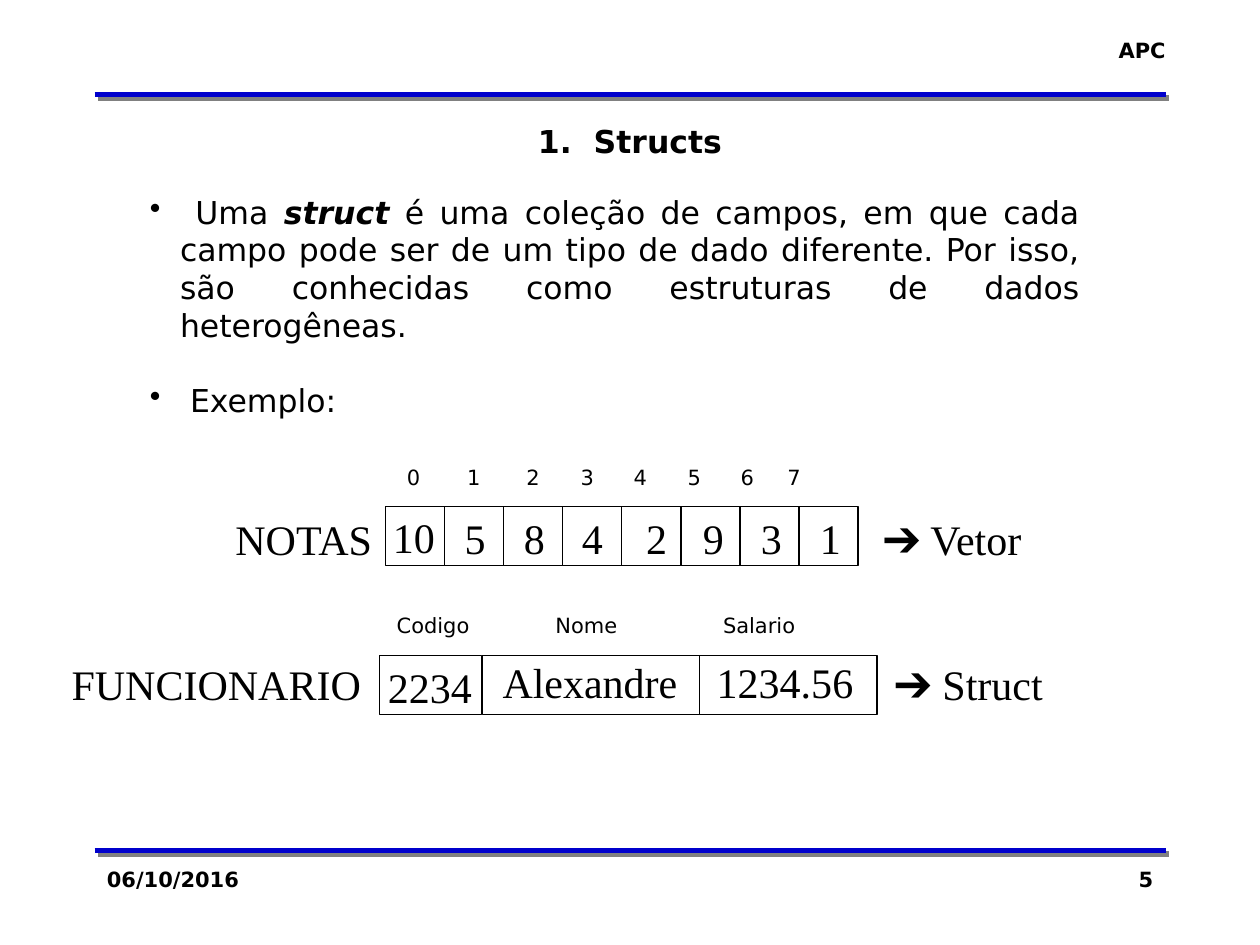
import pptx
import pptx.util
import pptx.dml.color
import pptx.enum.shapes
import pptx.enum.text
import pptx.oxml
from lxml import etree
from pptx.util import Inches

NS = "http://schemas.openxmlformats.org/drawingml/2006/main"
ALIGN = pptx.enum.text.PP_ALIGN


def rgb(value):
    return pptx.dml.color.RGBColor.from_string(value)


class Deck:
    sans = "DejaVu Sans"
    serif = "Times New Roman"
    black, white, blue, gray = "000000", "FFFFFF", "0000CC", "808080"

    def __init__(self, width, height):
        self.prs = pptx.Presentation()
        self.prs.slide_width = Inches(width)
        self.prs.slide_height = Inches(height)
        self.s = self.prs.slides.add_slide(self.prs.slide_layouts[6])

    def style(self, font, **values):
        for name, value in values.items():
            setattr(font, name, value)
        font.color.rgb = rgb(self.black)

    def rule(self, y):
        """Horizontal blue line with a gray shadow."""
        line = self.s.shapes.add_connector(
            pptx.enum.shapes.MSO_CONNECTOR.STRAIGHT,
            Inches(0.75), Inches(y), Inches(9.25), Inches(y))
        line.line.color.rgb = rgb(self.blue)
        line.line.width = pptx.util.Pt(3)
        line._element.spPr.append(pptx.oxml.parse_xml(
            f'<a:effectLst xmlns:a="{NS}"><a:outerShdw dist="35560" dir="2700000">'
            f'<a:srgbClr val="{self.gray}"/></a:outerShdw></a:effectLst>'))

    def box(self, left, top, width, height):
        """White cell with a thin black outline."""
        sp = self.s.shapes.add_shape(
            pptx.enum.shapes.MSO_SHAPE.RECTANGLE,
            Inches(left), Inches(top), Inches(width), Inches(height))
        sp.shadow.inherit = False
        sp.fill.solid()
        sp.fill.fore_color.rgb = rgb(self.white)
        sp.line.color.rgb = rgb(self.black)
        sp.line.width = pptx.util.Pt(0.75)

    def frame(self, left, top, width, height, wrap=True):
        tf = self.s.shapes.add_textbox(
            Inches(left), Inches(top), Inches(width), Inches(height)).text_frame
        tf.word_wrap = wrap
        return tf

    def text(self, text, left, top, width, height, size=12, name=None,
             bold=False, align=ALIGN.LEFT, wrap=True, tabs=()):
        """One line of text, with optional tab stops in inches."""
        p = self.frame(left, top, width, height, wrap).paragraphs[0]
        p.alignment = align
        if tabs:
            stops = etree.SubElement(p._p.get_or_add_pPr(), f"{{{NS}}}tabLst")
            for stop in tabs:
                etree.SubElement(stops, f"{{{NS}}}tab",
                                 pos=str(Inches(stop)), algn="l")
        r = p.add_run()
        r.text = text
        self.style(r.font, size=pptx.util.Pt(size), name=name or self.sans, bold=bold)

    def value(self, text, left, top, width, wrap=False, tabs=()):
        """Large serif text used by the data diagrams."""
        self.text(text, left, top, width, 0.51, 24, self.serif, wrap=wrap, tabs=tabs)

    def bullets(self, items, left, top, width, height, gap):
        """Justified bullets; each item lists (text, emphasised) runs."""
        tf = self.frame(left, top, width, height)
        for i, runs in enumerate(items):
            p = tf.add_paragraph() if i else tf.paragraphs[0]
            p.alignment = ALIGN.JUSTIFY
            if i:
                p.space_before = pptx.util.Pt(gap)
            pPr = p._p.get_or_add_pPr()
            pPr.set("marL", str(Inches(0.24)))
            pPr.set("indent", str(-Inches(0.24)))
            etree.SubElement(pPr, f"{{{NS}}}buChar", char="•")
            for text, strong in runs:
                r = p.add_run()
                r.text = text
                self.style(r.font, size=pptx.util.Pt(18), name=self.sans,
                           bold=strong, italic=strong)


def main():
    d = Deck(10, 7.5)

    # Header and footer
    for y in (6.75, 0.75):
        d.rule(y)
    d.text("APC", 8.77, 0.25, 0.58, 0.3, bold=True, align=ALIGN.RIGHT, wrap=False)
    d.text("06/10/2016", 0.75, 6.83, 2.08, 0.5, bold=True)
    d.text("5", 7.17, 6.83, 2.08, 0.5, bold=True, align=ALIGN.RIGHT)

    # Title and definition
    d.bullets([
        [(" Uma ", False), ("struct", True),
         (" é uma coleção de campos, em que cada campo pode ser de um tipo de dado "
          "diferente. Por isso, são conhecidas como estruturas de dados "
          "heterogêneas.", False)],
        [(" Exemplo:", False)],
    ], 1.09, 1.48, 7.58, 1.62, gap=21.5)
    d.text("1.  Structs", 0.75, 0.92, 8.5, 0.4, 18, bold=True, align=ALIGN.CENTER)

    # Array: eight equal cells
    grades = [("10", 3.02), ("5", 3.59), ("8", 4.06), ("4", 4.52),
              ("2", 5.03), ("9", 5.48), ("3", 5.94), ("1", 6.41)]
    pitch = 3.75 / len(grades)
    for i in range(len(grades)):
        d.box(3.06 + i * pitch, 4.02, pitch, 0.47)
    for grade, left in grades:
        wide = len(grade) > 1
        d.value(grade, left, 4.01 if wide else 4.02, 0.54 if wide else 0.37)
    d.value("NOTAS\t➔ Vetor", 1.77, 4.03, 6.67, wrap=True, tabs=[5.14])
    d.text("\t".join(str(i) for i in range(len(grades))), 3.13, 3.64, 3.62, 0.3,
           tabs=[0.48, 0.95, 1.38, 1.8, 2.23, 2.65, 3.02])

    # Struct: one cell per field
    for left, width in ((3.01, 0.81), (3.83, 1.8), (5.55, 1.41)):
        d.box(left, 5.2, width, 0.47)
    for field, left, top, width in (("2234", 2.98, 5.2, 1.01),
                                    ("Alexandre", 3.89, 5.16, 1.6),
                                    ("1234.56", 5.59, 5.16, 1.3)):
        d.value(field, left, top, width, wrap=field == "2234")
    d.value("FUNCIONARIO\t➔ Struct", 0.47, 5.18, 8.36, wrap=True, tabs=[6.53])
    d.text("Codigo\tNome\tSalario", 3.05, 4.81, 3.58, 0.3, tabs=[1.26, 2.59])

    d.prs.save("out.pptx")


if __name__ == "__main__":
    main()
